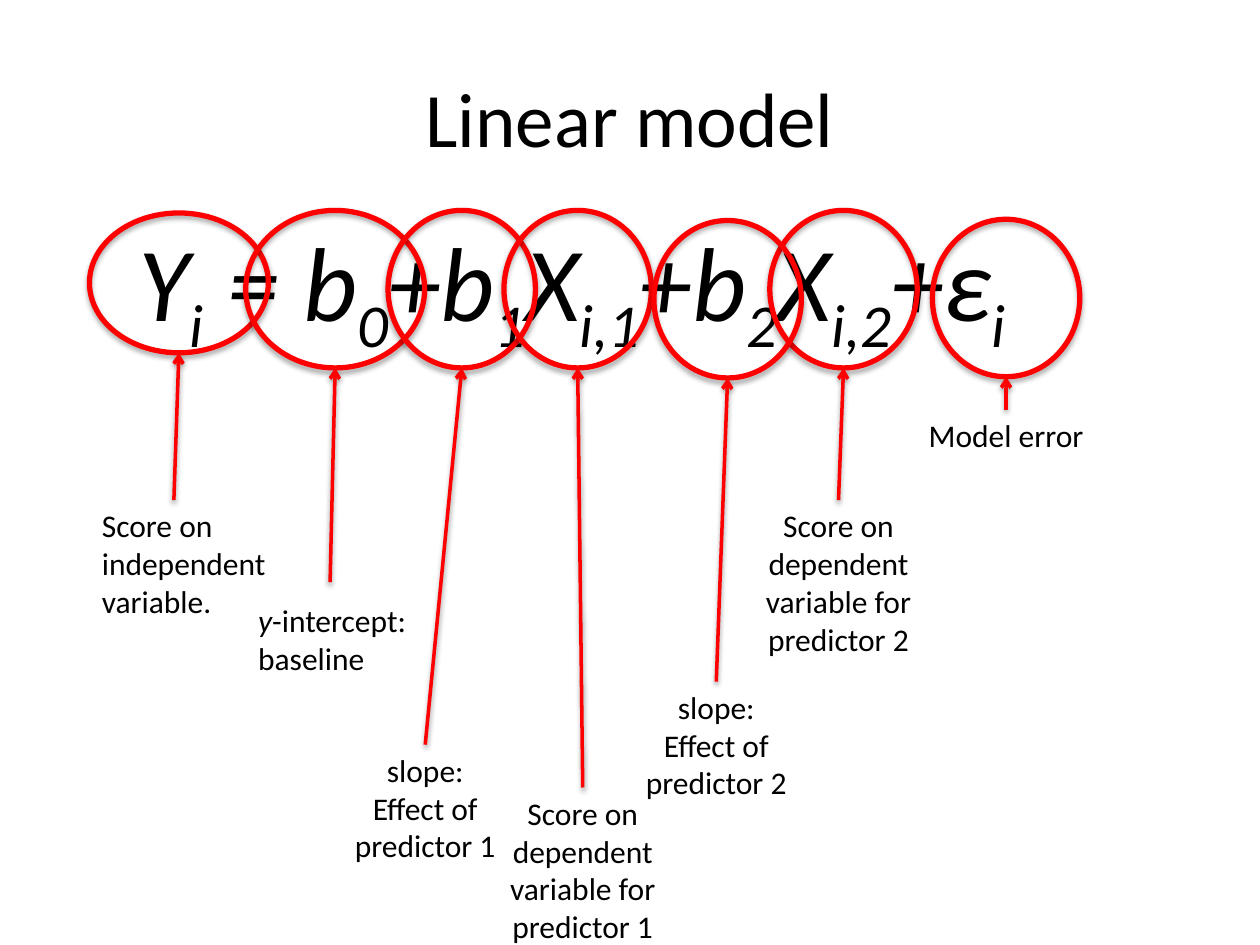
"""Build a slide that labels each term of the linear model equation."""
from dataclasses import dataclass

from lxml import etree
from pptx import Presentation
from pptx import util as u
from pptx.dml import color
from pptx.enum import shapes, text
from pptx.oxml import ns


@dataclass(frozen=True)
class Theme:
    font: str = "Calibri"
    ink: color.RGBColor = color.RGBColor(0, 0, 0)
    accent: color.RGBColor = color.RGBColor(255, 0, 0)
    title: int = 44
    equation: int = 60
    label: int = 18


theme = Theme()
LEFT, CENTER = text.PP_ALIGN.LEFT, text.PP_ALIGN.CENTER


def write(box, lines, size, align):
    """Fill a box with paragraphs of (words, italic, baseline) spans."""
    box.text_frame.word_wrap = True
    for index, line in enumerate(lines):
        para = box.text_frame.paragraphs[0] if index == 0 else box.text_frame.add_paragraph()
        para.alignment = align
        for words, italic, baseline in line:
            span = para.add_run()
            span.text = words
            span.font.name = theme.font
            span.font.size = u.Pt(size)
            span.font.color.rgb = theme.ink
            span.font.italic = italic
            if baseline:
                span.font._element.set("baseline", str(baseline))


def outline(shape, width, distance, opacity):
    """Give a shape the accent line and a soft shadow straight below it."""
    shape.line.color.rgb = theme.accent
    shape.line.width = u.Pt(width)
    effects = etree.SubElement(shape._element.spPr, ns.qn("a:effectLst"))
    shadow = etree.SubElement(
        effects, ns.qn("a:outerShdw"), blurRad=str(u.Pt(3.1)),
        dist=str(u.Pt(distance)), dir="5400000", rotWithShape="0")
    tint = etree.SubElement(shadow, ns.qn("a:srgbClr"), val=str(theme.ink))
    etree.SubElement(tint, ns.qn("a:alpha"), val=str(opacity * 1000))


deck = Presentation()
deck.slide_width, deck.slide_height = u.Inches(10), u.Inches(7.5)
page = deck.slides.add_slide(deck.slide_layouts[6])

title = page.shapes.add_textbox(u.Inches(0.5), u.Inches(0.3), u.Inches(9), u.Inches(1.25))
title.text_frame.vertical_anchor = text.MSO_ANCHOR.MIDDLE
write(title, [[("Linear model", False, 0)]], theme.title, CENTER)

terms = [("Y", "i"), (" = b", "0"), ("+b", "1"), ("X", "i,1"),
         ("+b", "2"), ("X", "i,2"), ("+ε", "i")]
equation = page.shapes.add_textbox(u.Inches(0.5), u.Inches(1.67), u.Inches(9), u.Inches(1.11))
spans = [span for base, index in terms
         for span in ((base, True, 0), (index, True, -25000))]
write(equation, [spans], theme.equation, LEFT)
indent = equation.text_frame.paragraphs[0]._p.get_or_add_pPr()
indent.set("marL", str(u.Inches(0.5)))
indent.set("indent", "0")

score = [[("Score on independent variable.", False, 0)]]
intercept = [[("y", True, 0), ("-intercept:", False, 0)], [("baseline", False, 0)]]
error = [[("Model error", False, 0)]]
slopes, predictors = (
    [[[(first, False, 0)], [(f"{rest} predictor {number}", False, 0)]] for number in (1, 2)]
    for first, rest in (("slope:", "Effect of"), ("Score on", "dependent variable for")))

callouts = [
    ((0.71, 1.69, 1.42, 1.11), (0.71, 3.97, 1.01), score, LEFT, (1.38, 3.97)),
    ((1.95, 1.67, 1.42, 1.25), (1.95, 4.72, 0.95), intercept, LEFT, (2.62, 4.62)),
    ((3.08, 1.67, 1.17, 1.25), (2.5, 5.91, 1.01), slopes[0], CENTER, None),
    ((4, 1.67, 1.17, 1.25), (3.75, 6.25, 1.31), predictors[0], CENTER, None),
    ((7.4, 1.74, 1.17, 1.25), (7.11, 3.25, 0.4), error, CENTER, None),
    ((6.11, 1.67, 1.17, 1.25), (5.78, 3.97, 1.31), predictors[1], CENTER, None),
    ((5.19, 1.75, 1.17, 1.25), (4.81, 5.41, 1.01), slopes[1], CENTER, None),
]
label_width = 1.75
for ring_frame, (left, top, height), lines, align, free_start in callouts:
    group = page.shapes.add_group_shape()
    ring = group.shapes.add_shape(shapes.MSO_SHAPE.OVAL, *map(u.Inches, ring_frame))
    ring.fill.background()
    outline(ring, 3, 1.8, 35)

    start_x, start_y = free_start or (left + label_width / 2, top)
    arrow = group.shapes.add_connector(
        shapes.MSO_CONNECTOR.STRAIGHT, u.Inches(start_x), u.Inches(start_y),
        ring.left + ring.width // 2, ring.top + ring.height)
    outline(arrow, 2, 1.6, 38)
    etree.SubElement(arrow.line._get_or_add_ln(), ns.qn("a:tailEnd"), type="arrow")

    label = group.shapes.add_textbox(*map(u.Inches, (left, top, label_width, height)))
    write(label, lines, theme.label, align)
    if free_start is None:
        arrow.begin_connect(label, 0)

deck.save("out.pptx")
